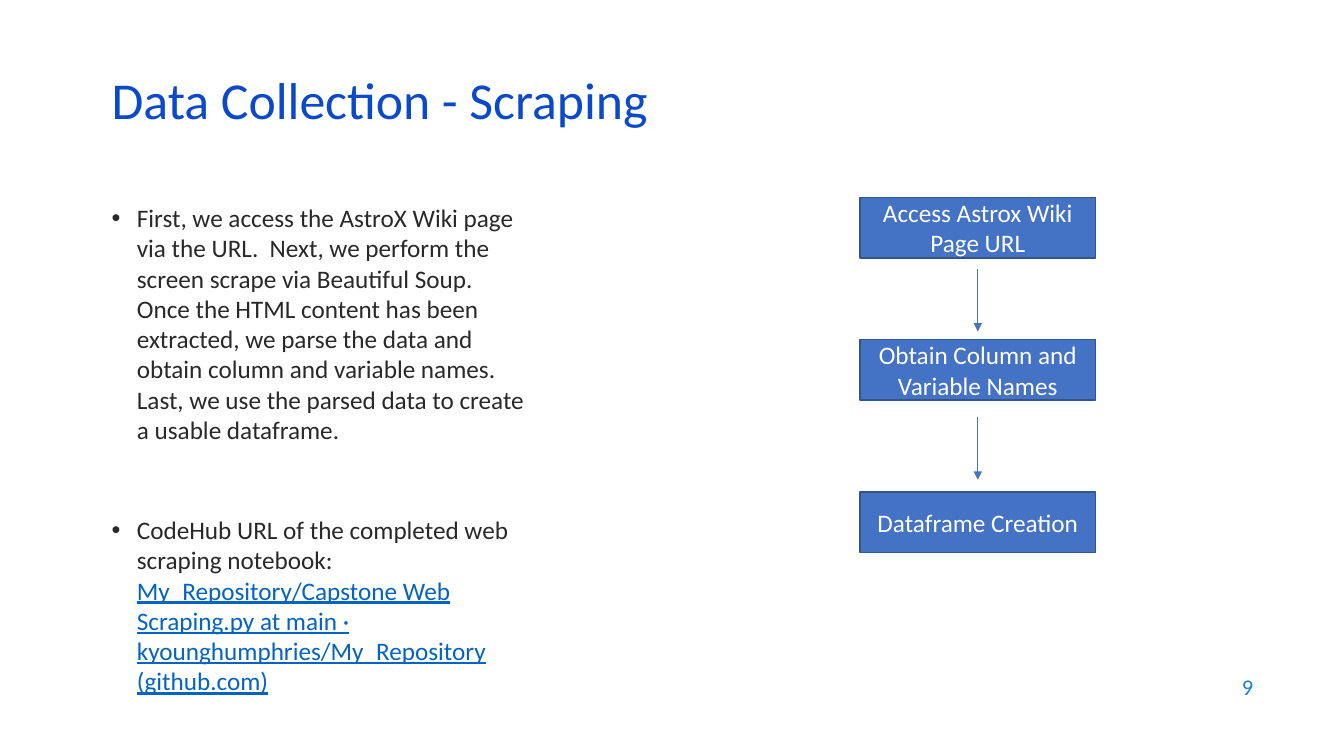
from lxml import etree
from pptx import Presentation
from pptx.dml.color import RGBColor
from pptx.enum import shapes, text
from pptx.oxml.ns import qn
from pptx.util import Pt

COLORS = {
    "title": "0B49CB",
    "body": "292929",
    "link": "0563C1",
    "number": "1C7DDB",
    "step": "4472C4",
    "edge": "325491",
    "white": "FFFFFF",
}

SUMMARY = (
    "First, we access the AstroX Wiki page via the URL.  Next, we perform the "
    "screen scrape via Beautiful Soup.  Once the HTML content has been extracted, "
    "we parse the data and obtain column and variable names.  Last, we use the "
    "parsed data to create a usable dataframe."
)
NOTEBOOK = "CodeHub URL of the completed web scraping notebook: "
NOTEBOOK_LINK = (
    "My_Repository/Capstone Web Scraping.py at main · "
    "kyounghumphries/My_Repository (github.com)"
)

STEP_LEFT, STEP_WIDTH, STEP_HEIGHT = 614.2, 168.5, 43.2
STEPS = [
    ("Access Astrox Wiki Page URL", 141.1),
    ("Obtain Column and Variable Names", 242.6),
    ("Dataframe Creation", 351.4),
]
ARROW_TOPS, ARROW_LENGTH = [192.2, 298.1], 44.6


def rgb(name):
    return RGBColor.from_string(COLORS[name])


class SlideBuilder:
    font = "Calibri"

    def __init__(self, page):
        self.page = page

    def style(self, span, size, color, underline=None):
        span.font.name = self.font
        span.font.size = Pt(size)
        span.font.color.rgb = rgb(color)
        span.font.underline = underline

    def text_box(self, left, top, width, height, anchor=text.MSO_ANCHOR.MIDDLE):
        box = self.page.shapes.add_textbox(Pt(left), Pt(top), Pt(width), Pt(height))
        box.text_frame.word_wrap = True
        box.text_frame.vertical_anchor = anchor
        return box.text_frame

    def line_of_text(self, content, place, size, color, align=None, spacing=None):
        para = self.text_box(*place).paragraphs[0]
        para.text = content
        para.alignment = align
        para.line_spacing = spacing
        self.style(para.runs[0], size, color)

    def bullets(self, items, place, size, gap):
        """Each item is a list of (content, color, underline) spans."""
        frame = self.text_box(*place, anchor=text.MSO_ANCHOR.TOP)
        for index, spans in enumerate(items):
            para = frame.add_paragraph() if index else frame.paragraphs[0]
            props = para._p.get_or_add_pPr()
            props.set("marL", str(Pt(18)))
            props.set("indent", str(-Pt(18)))
            etree.SubElement(props, qn("a:buFont"), typeface="Arial")
            etree.SubElement(props, qn("a:buChar"), char="•")
            if index:
                para.space_before = Pt(gap)
            for content, color, underline in spans:
                span = para.add_run()
                span.text = content
                self.style(span, size, color, underline)

    def step(self, label, top):
        box = self.page.shapes.add_shape(
            shapes.MSO_SHAPE.RECTANGLE,
            Pt(STEP_LEFT), Pt(top), Pt(STEP_WIDTH), Pt(STEP_HEIGHT))
        box.shadow.inherit = False
        box.fill.solid()
        box.fill.fore_color.rgb = rgb("step")
        box.line.color.rgb = rgb("edge")
        box.line.width = Pt(1)
        frame = box.text_frame
        frame.text = label
        frame.word_wrap = True
        frame.vertical_anchor = text.MSO_ANCHOR.MIDDLE
        frame.paragraphs[0].alignment = text.PP_ALIGN.CENTER
        self.style(frame.paragraphs[0].runs[0], 18, "white")

    def down_arrow(self, top):
        center = Pt(STEP_LEFT + STEP_WIDTH / 2)
        arrow = self.page.shapes.add_connector(
            shapes.MSO_CONNECTOR.STRAIGHT,
            center, Pt(top), center, Pt(top + ARROW_LENGTH))
        arrow.line.color.rgb = rgb("step")
        arrow.line.width = Pt(0.5)
        etree.SubElement(arrow.line._get_or_add_ln(), qn("a:tailEnd"), type="triangle")
        etree.SubElement(arrow._element.spPr, qn("a:effectLst"))


def main():
    deck = Presentation()
    deck.slide_width, deck.slide_height = Pt(960), Pt(540)
    builder = SlideBuilder(deck.slides.add_slide(deck.slide_layouts[6]))

    builder.line_of_text("9", (686.2, 474.5, 216, 31.7), 16, "number",
                         align=text.PP_ALIGN.RIGHT)
    builder.bullets(
        [[(SUMMARY, "body", None)],
         [(NOTEBOOK, "body", None), (NOTEBOOK_LINK, "link", True)]],
        (72.7, 141.1, 309.6, 300.2), size=18, gap=50)
    builder.line_of_text("Data Collection - Scraping", (72.7, 54.7, 828, 43.2),
                         37, "title", spacing=0.7)
    for label, top in STEPS:
        builder.step(label, top)
    for top in ARROW_TOPS:
        builder.down_arrow(top)

    deck.save("out.pptx")


if __name__ == "__main__":
    main()
